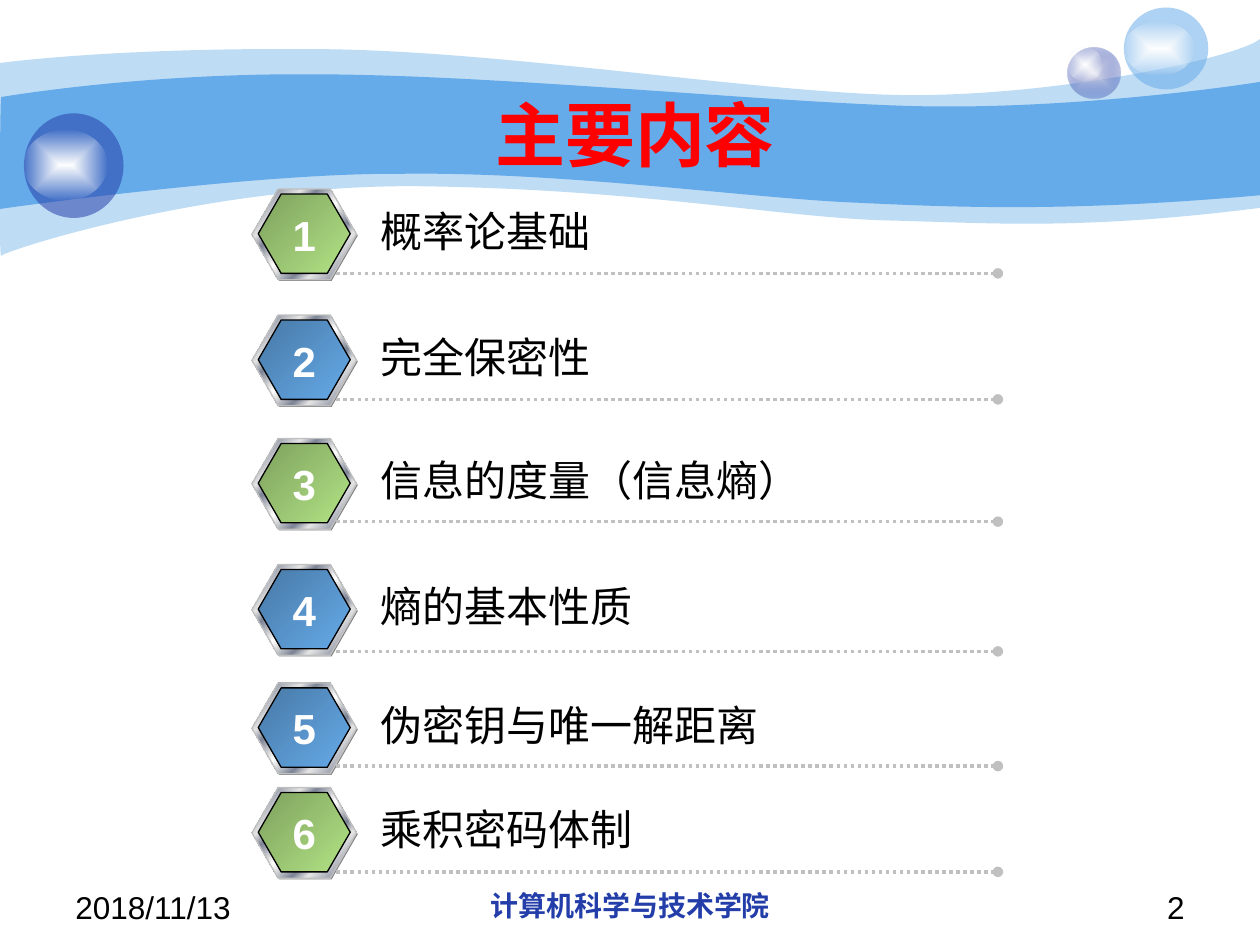
from lxml import etree
from pptx import Presentation
from pptx import util as u
from pptx.dml.color import RGBColor
from pptx.enum import dml, shapes, text
from pptx.oxml.ns import qn

W, H = 10, 7.5
FONT = "Arial"
SKY, NAVY, LIME, SILVER = "65AAE9", "233DA9", "B2E385", "C0C0C0"
# Gradient stops: position, colour, then optional opacity and shade
GREEN_FILL = [(0, LIME, 100, 46), (100, LIME)]
BLUE_FILL = [(0, SKY, 100, 46), (100, SKY)]
METAL = [(0, "E6E6E6"), (8, "7D8496"), (26, "E6E6E6"), (34, "7D8496"),
         (46, "E6E6E6"), (50, "FFFFFF"), (54, "E6E6E6"), (66, "7D8496"),
         (74, "E6E6E6"), (92, "7D8496"), (100, "E6E6E6")]
GLOW = [(0, "FFFFFF"), (100, "FFFFFF", 0)]

# Agenda rows: label, hexagon top, rule height, hexagon fill
AGENDA = [
    ("概率论基础", 1.5, 2.17, GREEN_FILL),
    ("完全保密性", 2.5, 3.17, BLUE_FILL),
    ("信息的度量（信息熵）", 3.48, 4.14, GREEN_FILL),
    ("熵的基本性质", 4.48, 5.17, BLUE_FILL),
    ("伪密钥与唯一解距离", 5.42, 6.08, BLUE_FILL),
    ("乘积密码体制", 6.25, 6.92, GREEN_FILL),
]

# Wave outlines: start point, then cubic segments and straight sides
PALE_WAVE = [(0, 0.5), (0.24, 0.47, 1.07, 0.38, 2.47, 0.39),
             (3.86, 0.39, 5.75, 0.7, 6.99, 0.75),
             (8.22, 0.8, 9.8, 0.47, 10, 0.31), (10, 1.65),
             (8.58, 1.83, 7.87, 1.77, 7.05, 1.75),
             (6.22, 1.73, 5.15, 1.51, 3.43, 1.48),
             (1.72, 1.44, 0.04, 1.99, 0.01, 2.03),
             (-0.01, 2.08, 0, 0.75, 0, 0.5)]
DEEP_WAVE = [(0.01, 0.77), (0.02, 0.77, 1.1, 0.58, 2.48, 0.59),
             (3.86, 0.59, 5.95, 0.8, 7.18, 0.84),
             (8.41, 0.88, 9.76, 0.69, 10, 0.65), (10, 1.55),
             (8.53, 1.68, 7.65, 1.65, 6.82, 1.61),
             (5.99, 1.58, 4.47, 1.36, 3.17, 1.38),
             (2.03, 1.37, -0.02, 1.66, -0.01, 1.66),
             (0, 1.66, 0, 0.77, 0.01, 0.77)]


def rgb(hex_code):
    return RGBColor.from_string(hex_code)


def add_color(parent, hex_code, alpha=100, shade=100):
    clr = etree.SubElement(parent, qn("a:srgbClr"), val=hex_code)
    for tag, share in (("a:shade", shade), ("a:alpha", alpha)):
        if share < 100:
            etree.SubElement(clr, qn(tag), val=str(share * 1000))


def paint(sp, fill, alpha=100, angle=None, line=None):
    """Fill with a hex colour or a list of stops; no angle means radial."""
    sp.shadow.inherit = False
    if line:
        sp.line.color.rgb = rgb(line)
        sp.line.width = u.Pt(0.75)
    else:
        sp.line.fill.background()
    sp.fill.background()
    old = sp._element.spPr.find(qn("a:noFill"))
    if isinstance(fill, str):
        new = etree.Element(qn("a:solidFill"))
        add_color(new, fill, alpha)
    else:
        new = etree.Element(qn("a:gradFill"), rotWithShape="1")
        stops = etree.SubElement(new, qn("a:gsLst"))
        for pos, *color in fill:
            add_color(etree.SubElement(stops, qn("a:gs"), pos=str(pos * 1000)), *color)
        if angle is None:
            way = etree.SubElement(new, qn("a:path"), attrib={"path": "shape"})
            etree.SubElement(way, qn("a:fillToRect"), l="50000", t="50000",
                             r="50000", b="50000")
        else:
            etree.SubElement(new, qn("a:lin"), ang=str(angle * 60000), scaled="1")
    old.getparent().replace(old, new)


def add_preset(parent, kind, x, y, w, h, fill, **look):
    sp = parent.shapes.add_shape(kind, u.Inches(x), u.Inches(y), u.Inches(w), u.Inches(h))
    paint(sp, fill, **look)
    return sp


def write(sp, content, size=24, color="000000", bold=False, align="LEFT"):
    p = sp.text_frame.paragraphs[0]
    p.alignment = getattr(text.PP_ALIGN, align)
    r = p.add_run()
    r.text = content
    r.font.size, r.font.bold, r.font.name = u.Pt(size), bold, FONT
    r.font.color.rgb = rgb(color)


def add_text(slide, content, x, y, w, h, wrap=True, **style):
    sp = slide.shapes.add_textbox(u.Inches(x), u.Inches(y), u.Inches(w), u.Inches(h))
    sp.text_frame.word_wrap = wrap
    if not wrap:
        sp.text_frame.auto_size = text.MSO_AUTO_SIZE.SHAPE_TO_FIT_TEXT
    write(sp, content, **style)


def add_wave(slide, outline, alpha):
    ends = [(u.Inches(seg[-2]), u.Inches(seg[-1])) for seg in outline]
    builder = slide.shapes.build_freeform(*ends[0])
    builder.add_line_segments(ends[1:], close=True)
    sp = builder.convert_to_shape()
    # Bend the sides that have control points
    sides = list(sp._element.iter(qn("a:lnTo")))
    for side, seg in zip(sides, outline[1:]):
        if len(seg) == 6:
            curve = etree.Element(qn("a:cubicBezTo"))
            for x, y in zip(seg[::2], seg[1::2]):
                etree.SubElement(curve, qn("a:pt"), x=str(u.Inches(x) - sp.left),
                                 y=str(u.Inches(y) - sp.top))
            side.getparent().replace(side, curve)
    paint(sp, SKY, alpha=alpha)


def add_bubble(slide, ball, glow, fill, alpha=100):
    group = slide.shapes.add_group_shape()
    oval = shapes.MSO_SHAPE.OVAL
    add_preset(group, oval, *ball, fill, alpha=alpha)
    add_preset(group, oval, *glow, GLOW)


def add_badge(slide, x, y, fill):
    group = slide.shapes.add_group_shape()
    layers = [(x + 0.01, y + 0.01, 0.83, 0.72, "808080", {}),
              (x, y, 0.83, 0.72, METAL, {"angle": 45, "line": SILVER}),
              (x + 0.05, y + 0.04, 0.73, 0.63, fill, {"angle": 45, "line": "000000"})]
    for *box, color, look in layers:
        sp = add_preset(group, shapes.MSO_SHAPE.HEXAGON, *box, color, **look)
        sp.adjustments[0], sp.adjustments[1] = 0.289, 1.155


def add_rule(slide, x1, x2, y):
    c = slide.shapes.add_connector(shapes.MSO_CONNECTOR.STRAIGHT, u.Inches(x1),
                                   u.Inches(y), u.Inches(x2), u.Inches(y))
    c.line.color.rgb = rgb(SILVER)
    c.line.width = u.Pt(2)
    c.line.dash_style = dml.MSO_LINE.ROUND_DOT
    etree.SubElement(c.line._get_or_add_ln(), qn("a:tailEnd"), type="oval")
    etree.SubElement(c._element.spPr, qn("a:effectLst"))


def add_agenda_row(slide, number, label, top, rule_y, fill):
    left = W * 0.2
    add_badge(slide, left, top, fill)
    add_rule(slide, left + 0.67, left + 5.92, rule_y)
    add_text(slide, label, left + 0.92, top + 0.08, 0.34 * len(label) + 0.2, 0.51, wrap=False)
    add_text(slide, str(number), left + 0.22, top + 0.11, 0.39, 0.5, wrap=False,
             color="FFFFFF", bold=True, align="CENTER")


def add_title(slide, content):
    title = slide.shapes.title
    title.left, title.top = u.Inches(1), u.Inches(0.75)
    title.width, title.height = u.Inches(8.08), u.Inches(0.62)
    title.text_frame.vertical_anchor = text.MSO_ANCHOR.MIDDLE
    write(title, content, size=40, color="FF0000", bold=True, align="CENTER")
    slide.shapes._spTree.append(title._element)  # above the waves


def main():
    prs = Presentation()
    prs.slide_width, prs.slide_height = u.Inches(W), u.Inches(H)
    slide = prs.slides.add_slide(prs.slide_layouts[5])

    # Header waves and bubbles
    add_wave(slide, PALE_WAVE, 41)
    add_wave(slide, DEEP_WAVE, 100)
    add_bubble(slide, (8.47, 0.38, 0.42, 0.4), (8.47, 0.38, 0.28, 0.27),
               [(0, "E1E2ED"), (100, NAVY, 31)])
    add_bubble(slide, (8.92, 0.06, 0.67, 0.65), (8.92, 0.17, 0.56, 0.43), SKY, 53)
    add_bubble(slide, (0.19, 0.9, 0.79, 0.83), (0.19, 1.03, 0.66, 0.56), NAVY, 53)

    # Footer
    add_text(slide, "2018/11/13", 0.5, 7, 2.33, 0.35, size=18)
    add_text(slide, "计算机科学与技术学院", 3.42, 7, 3.17, 0.35, size=16,
             color=NAVY, bold=True, align="CENTER")
    add_text(slide, "2", 7.17, 7, 2.33, 0.35, size=18, align="RIGHT")

    # Title and agenda
    add_title(slide, "主要内容")
    for number, row in enumerate(AGENDA, 1):
        add_agenda_row(slide, number, *row)

    prs.save("out.pptx")


if __name__ == "__main__":
    main()
